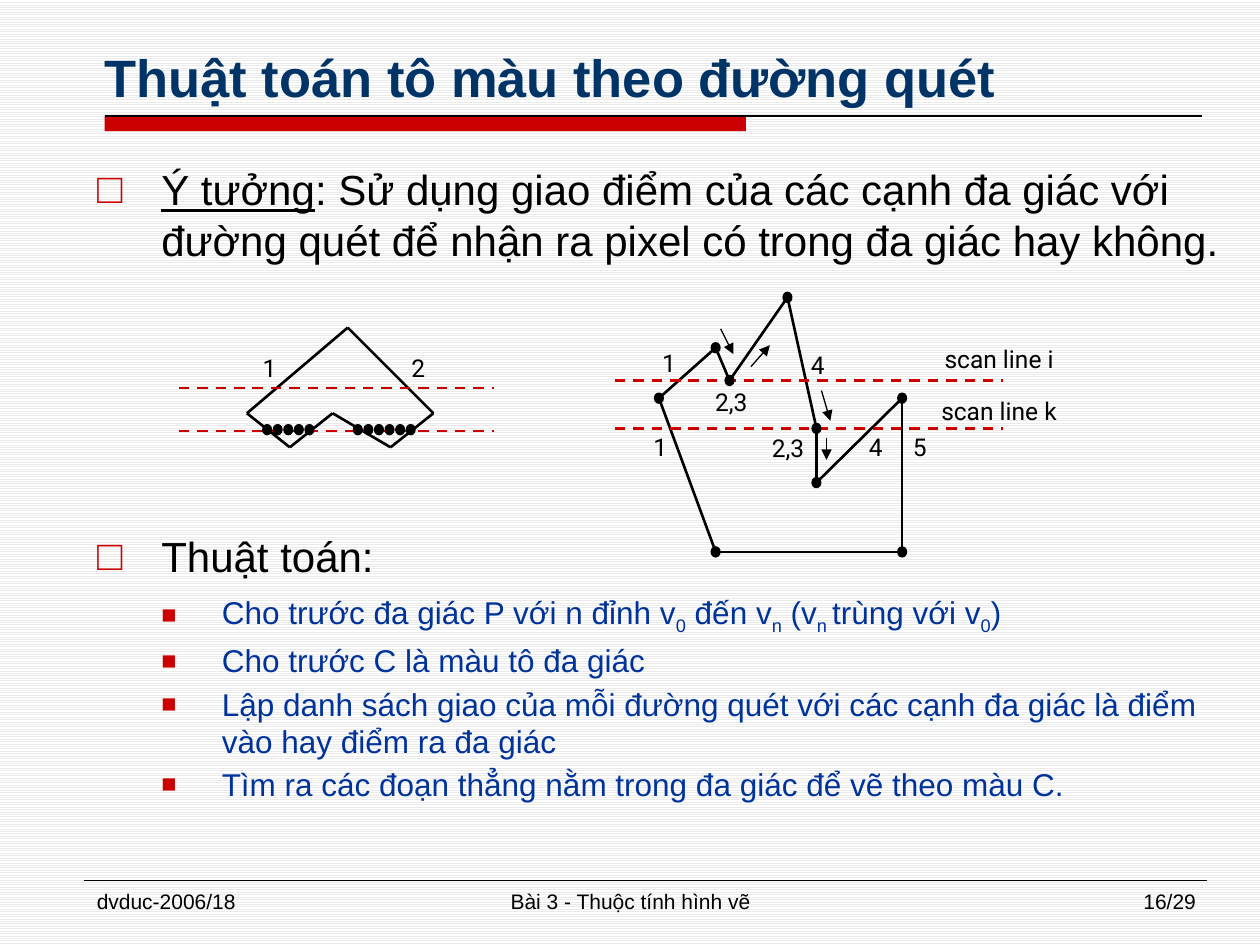
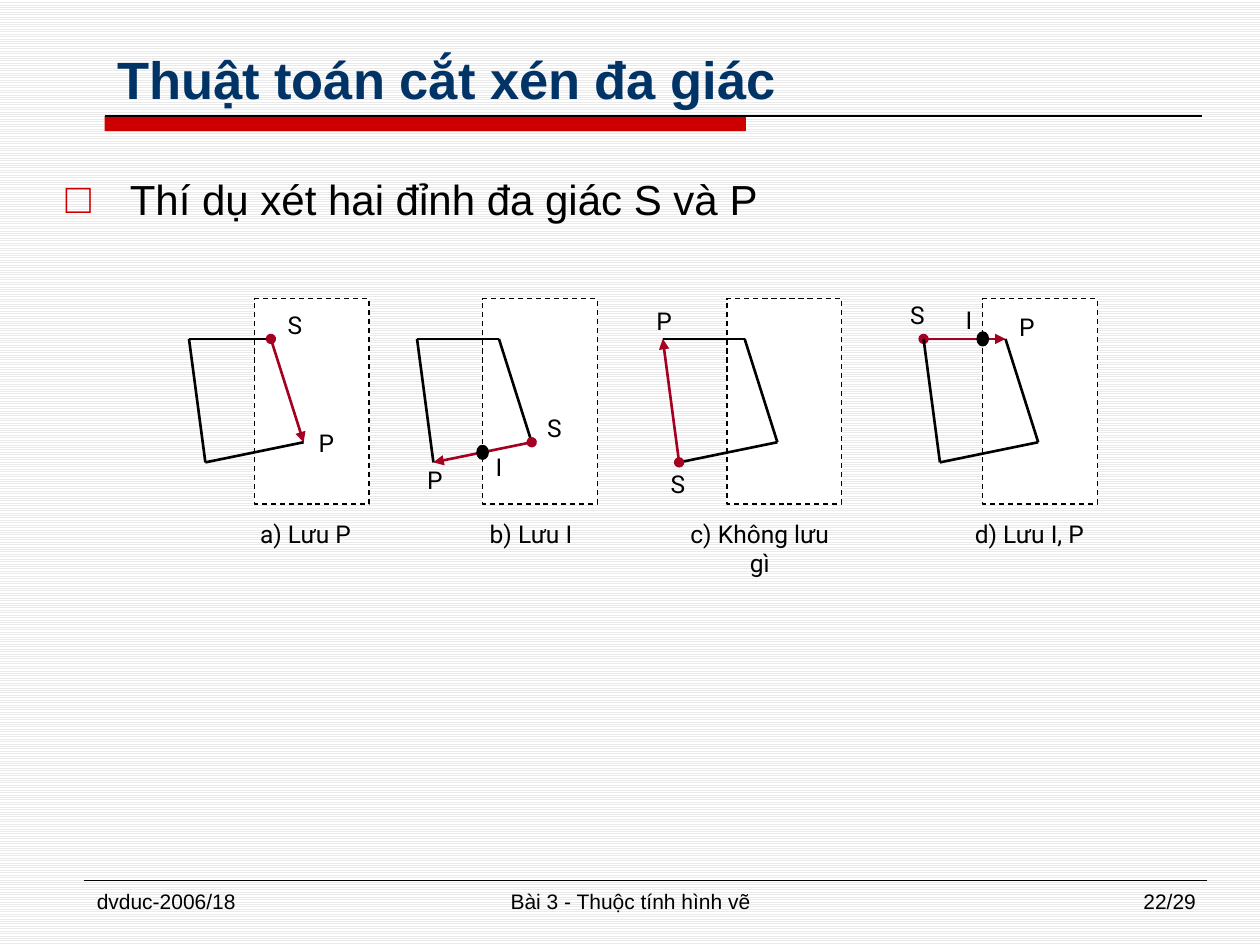
from pptx import Presentation
from pptx.dml.color import RGBColor
from pptx.enum.dml import MSO_LINE, MSO_PATTERN
from pptx.enum.shapes import MSO_CONNECTOR, MSO_SHAPE
from pptx.enum.text import MSO_ANCHOR, MSO_AUTO_SIZE, PP_ALIGN
from pptx.oxml.ns import qn
from pptx.util import Inches, Pt
from lxml.etree import SubElement

INK, RED, WINE = "000000", "CC0000", "A50021"
NAVY, BLUE, WHITE, GREY = "003366", "003399", "FFFFFF", "EAEAEA"
SANS, MARK = "Arial", "Roboto"
LEFT, MID, RIGHT = PP_ALIGN.LEFT, PP_ALIGN.CENTER, PP_ALIGN.RIGHT


def tint(code):
    return RGBColor.from_string(code)


def place(shape, x, y, w, h):
    shape.left, shape.top = Inches(x), Inches(y)
    shape.width, shape.height = Inches(w), Inches(h)


def add_run(para, text, size, color=INK, font=SANS, bold=False, under=False, sub=False):
    run = para.add_run()
    run.text = text
    run.font.size, run.font.name = Pt(size), font
    run.font.bold, run.font.underline = bold, under
    run.font.color.rgb = tint(color)
    if sub:
        run.font._element.set("baseline", "-25000")


def label(slide, text, x, y, w, h, size=14, font=MARK, align=MID):
    box = slide.shapes.add_textbox(Inches(x), Inches(y), Inches(w), Inches(h))
    box.text_frame.word_wrap = True
    para = box.text_frame.paragraphs[0]
    para.alignment = align
    add_run(para, text, size, font=font)


def line(slide, start, end, color=INK, width=1.5, dash=False, head=None, tail=None):
    points = [Inches(n) for n in (*start, *end)]
    link = slide.shapes.add_connector(MSO_CONNECTOR.STRAIGHT, *points)
    link.line.color.rgb = tint(color)
    link.line.width = Pt(width)
    if dash:
        link.line.dash_style = MSO_LINE.DASH
    for tag, kind in (("a:headEnd", head), ("a:tailEnd", tail)):
        if kind:
            SubElement(link.line._get_or_add_ln(), qn(tag), type=kind, w="med", len="med")
    SubElement(link._element.spPr, qn("a:effectLst"))


def solid(slide, kind, x, y, w, h, fill=INK, edge=INK, width=0.75):
    shape = slide.shapes.add_shape(kind, Inches(x), Inches(y), Inches(w), Inches(h))
    shape.shadow.inherit = False
    shape.fill.solid()
    shape.fill.fore_color.rgb = tint(fill)
    if edge:
        shape.line.color.rgb = tint(edge)
        shape.line.width = Pt(width)
    else:
        shape.line.fill.background()
    return shape


def dot(slide, x, y, w=0.07, h=0.08, width=0.75):
    solid(slide, MSO_SHAPE.OVAL, x - w / 2, y - h / 2, w, h, width=width)


def shift(points, x, y):
    return [(x + a, y + b) for a, b in points]


def edges(points):
    return list(zip(points, points[1:] + points[:1]))


def bullet(para, char, left, hang, scale=100):
    props = para._p.get_or_add_pPr()
    props.set("marL", str(Inches(left)))
    props.set("indent", str(-Inches(hang)))
    SubElement(SubElement(props, qn("a:buClr")), qn("a:srgbClr"), val=RED)
    SubElement(props, qn("a:buSzPct"), val=str(scale * 1000))
    SubElement(props, qn("a:buFont"), typeface=SANS)
    SubElement(props, qn("a:buChar"), char=char)


def item(para, runs, level=0, before=4, after=4):
    para.level = level
    para.space_before, para.space_after = Pt(before), Pt(after)
    if level:
        bullet(para, "■", 0.99, 0.48, 80)
    else:
        bullet(para, "□", 0.51, 0.51)
    for text, look in runs:
        add_run(para, text, 18 if level else 24, BLUE if level else INK, **look)


def frame(deck, title, title_box, body_box, number):
    slide = deck.slides.add_slide(deck.slide_layouts[1])
    solid(slide, MSO_SHAPE.RECTANGLE, 0.83, 0.92, 5.09, 0.12, RED, None)
    line(slide, (0.83, 0.92), (9.54, 0.92), width=0.75)
    line(slide, (0.67, 6.99), (9.58, 6.99), width=0.25)
    for text, x, w, align in (("dvduc-2006/18", 0.67, 2.17, LEFT),
                              ("Bài 3 - Thuộc tính hình vẽ", 3.42, 3.17, MID),
                              (f"{number}/29", 7.42, 2.17, RIGHT)):
        label(slide, text, x, 7, w, 0.35, 12, SANS, align)
    head, body = slide.shapes.title, slide.placeholders[1]
    place(head, *title_box)
    place(body, *body_box)
    for shape in (head, body):
        shape.text_frame.word_wrap = True
        shape.text_frame.auto_size = MSO_AUTO_SIZE.NONE
    head.text_frame.vertical_anchor = MSO_ANCHOR.BOTTOM
    para = head.text_frame.paragraphs[0]
    para.alignment = LEFT
    add_run(para, title, 30, NAVY, bold=True)
    return slide, body.text_frame


def roof(slide, x, y):
    corners = [(0.54, 0.68), (1.34, 0), (2.02, 0.68), (1.68, 0.95), (1.22, 0.68), (0.88, 0.95)]
    for start, end in edges(shift(corners, x, y)):
        line(slide, start, end)
    for down in (0.48, 0.82):
        line(slide, (x, y + down), (x + 2.5, y + down), RED, dash=True)
    for first, count in ((0.7, 5), (1.42, 6)):
        for i in range(count):
            dot(slide, x + first + i * 0.084, y + 0.81)
    for text, dx in (("1", 0.55), ("2", 1.73)):
        label(slide, text, x + dx, y + 0.15, 0.34, 0.41)


def crown(slide, x, y):
    corners = [(0.35, 0.81), (0.8, 0.41), (0.91, 0.67), (1.37, 0.01), (1.6, 1.05),
               (1.6, 1.48), (2.28, 0.81), (2.28, 2.03), (0.8, 2.03)]
    points = shift(corners, x, y)
    for start, end in edges(points):
        line(slide, start, end)
    for down in (0.67, 1.05):
        line(slide, (x, y + down), (x + 3.08, y + down), RED, dash=True)
    for point in points:
        dot(slide, *point)
    marks = (("1", 0.26, 0.36, 0.34), ("2,3", 0.59, 0.67, 0.67), ("4", 1.44, 0.38, 0.34),
             ("1", 0.19, 1.03, 0.34), ("2,3", 1.06, 1.04, 0.63), ("4", 1.9, 1.03, 0.34),
             ("5", 2.25, 1.03, 0.34), ("scan line i", 2.48, 0.33, 1.14),
             ("scan line k", 2.48, 0.74, 1.14))
    for text, dx, dy, w in marks:
        label(slide, text, x + dx, y + dy, w, 0.41)
    arrows = (((0.84, 0.26), (0.94, 0.46)), ((1.08, 0.56), (1.23, 0.39)),
              ((1.64, 0.75), (1.71, 0.99)), ((1.68, 1.13), (1.68, 1.3)))
    for pair in arrows:
        line(slide, *shift(pair, x, y), width=0.75, tail="triangle")


def panel(slide, x, y, gap, hot, marks, cross, note):
    pane = solid(slide, MSO_SHAPE.RECTANGLE, x + gap, y - 0.32, 0.91, 1.63, WHITE)
    pane.line.dash_style = MSO_LINE.DASH
    corners = shift([(0, 0), (0.65, 0), (0.91, 0.82), (0.13, 0.98)], x, y)
    for i, (start, end) in enumerate(edges(corners)):
        if i == hot:
            line(slide, start, end, WINE, head="oval", tail="triangle")
        else:
            line(slide, start, end)
    for text, dx, dy in marks:
        label(slide, text, x + dx, y + dy, 0.52, 0.49)
    if cross:
        dot(slide, x + cross[0], y + cross[1], 0.08, 0.1, 1.5)
    text, dx, w = note
    label(slide, text, x + dx, y + 1.38, w, 0.49)


def scan(deck):
    slide, body = frame(deck, "Thuật toán tô màu theo đường quét",
                        (0.73, 0.08, 8.36, 0.83), (0.67, 1.25, 9.13, 5.58), 16)
    item(body.paragraphs[0], [
        ("Ý tưởng", {"under": True}),
        (": Sử dụng giao điểm của các cạnh đa giác với đường quét để nhận ra pixel "
         "có trong đa giác hay không.", {})])
    item(body.add_paragraph(), [("Thuật toán:", {})], before=148)
    low = {"sub": True}
    steps = (
        [("Cho trước đa giác P với n đỉnh v", {}), ("0", low), (" đến v", {}), ("n", low),
         (" (v", {}), ("n ", low), ("trùng với v", {}), ("0", low), (")", {})],
        [("Cho trước C là màu tô đa giác", {})],
        [("Lập danh sách giao của mỗi đường quét với các cạnh đa giác là điểm "
          "vào hay điểm ra đa giác", {})],
        [("Tìm ra các đoạn thẳng nằm trong đa giác để vẽ theo màu C.", {})])
    for runs in steps:
        item(body.add_paragraph(), runs, level=1, before=3, after=0)
    roof(slide, 1.42, 2.6)
    crown(slide, 4.88, 2.35)


def clip(deck):
    slide, body = frame(deck, "Thuật toán cắt xén đa giác",
                        (0.83, 0.17, 9, 0.75), (0.42, 1.25, 9, 5.67), 22)
    para = body.paragraphs[0]
    item(para, [("Thí dụ xét hai đỉnh đa giác S và P", {})])
    para.line_spacing = 1.2
    cases = (
        (1.5, 0.52, 1, (("P", 0.83, 0.66), ("S", 0.58, -0.28)), None,
         ("a) Lưu P", 0.42, 1.01)),
        (3.31, 0.52, 2, (("P", -0.12, 0.95), ("S", 0.83, 0.54), ("I", 0.39, 0.85)),
         (0.52, 0.9), ("b) Lưu I", 0.39, 1.03)),
        (5.26, 0.51, 3, (("P", -0.25, -0.31), ("S", -0.14, 0.98)), None,
         ("c) Không lưu gì", 0.12, 1.3)),
        (7.33, 0.47, 0, (("P", 0.56, -0.26), ("S", -0.31, -0.36), ("I", 0.1, -0.32)),
         (0.47, 0), ("d) Lưu I, P", 0.26, 1.16)))
    for x, *rest in cases:
        panel(slide, x, 2.69, *rest)


def main():
    deck = Presentation()
    deck.slide_width, deck.slide_height = Inches(10), Inches(7.5)
    fill = deck.slide_master.background.fill
    fill.patterned()
    fill.pattern = MSO_PATTERN.LIGHT_HORIZONTAL
    fill.fore_color.rgb, fill.back_color.rgb = tint(GREY), tint(WHITE)
    scan(deck)
    clip(deck)
    deck.save("out.pptx")


if __name__ == "__main__":
    main()
